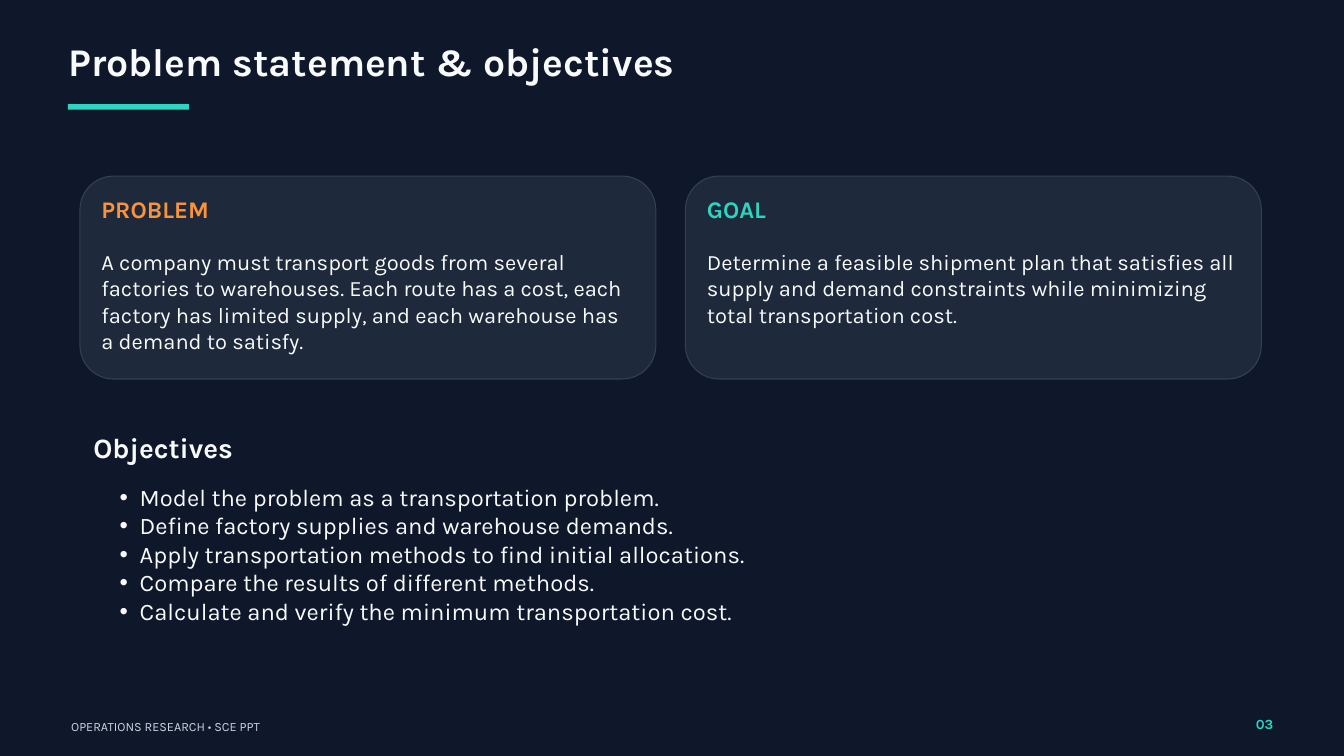
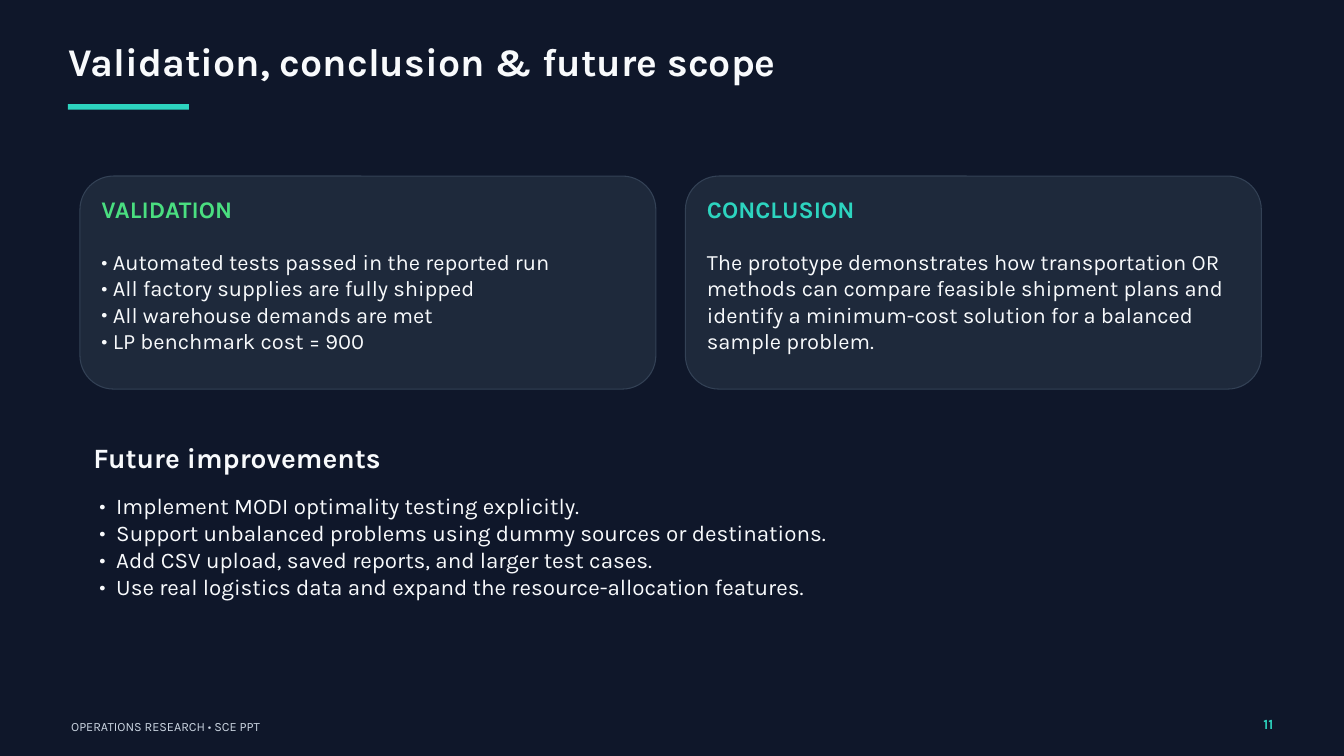
from lxml import etree
from pptx import Presentation
from pptx import util as u
from pptx.dml import color as dml
from pptx.enum import shapes, text
from pptx.oxml import ns

COLORS = {
    "background": "0F172A", "card": "1E293B", "border": "334155",
    "white": "F8FAFC", "muted": "CBD5E1",
    "teal": "2DD4BF", "orange": "FB923C", "green": "4ADE80",
}
RGB = {name: dml.RGBColor.from_string(value) for name, value in COLORS.items()}
FONT = "Karla"
LEADING = 1.2

FRAME_FORMAT = {
    "margin_left": 0, "margin_top": 0, "margin_right": 0, "margin_bottom": 0,
    "word_wrap": True, "auto_size": text.MSO_AUTO_SIZE.SHAPE_TO_FIT_TEXT,
}

CARD_LEFTS = (1.19, 10.2)
CARD_TOP, CARD_WIDTH, CARD_RADIUS = 2.62, 8.57, 0.5
CARD_PADDING = 0.32

# Bullets: left margin, hanging indent (inches) and typeface
CARD_BULLET = (0.17, 0.17, FONT)

PAGES = [
    {
        "number": "03",
        "title": "Problem statement & objectives",
        "card_height": 3.02,
        "cards": [
            ("PROBLEM", "orange", [
                "A company must transport goods from several factories to "
                "warehouses. Each route has a cost, each factory has limited "
                "supply, and each warehouse has a demand to satisfy."], None),
            ("GOAL", "teal", [
                "Determine a feasible shipment plan that satisfies all supply "
                "and demand constraints while minimizing total transportation "
                "cost."], None),
        ],
        "list_title": "Objectives",
        "list_size": 25.5,
        "list_bullet": (0.6, 0.3, "Arial"),
        "list": [
            "Model the problem as a transportation problem.",
            "Define factory supplies and warehouse demands.",
            "Apply transportation methods to find initial allocations.",
            "Compare the results of different methods.",
            "Calculate and verify the minimum transportation cost.",
        ],
    },
    {
        "number": "11",
        "title": "Validation, conclusion & future scope",
        "card_height": 3.17,
        "cards": [
            ("VALIDATION", "green", [
                "Automated tests passed in the reported run",
                "All factory supplies are fully shipped",
                "All warehouse demands are met",
                "LP benchmark cost = 900"], CARD_BULLET),
            ("CONCLUSION", "teal", [
                "The prototype demonstrates how transportation OR methods can "
                "compare feasible shipment plans and identify a minimum-cost "
                "solution for a balanced sample problem."], None),
        ],
        "list_title": "Future improvements",
        "list_size": 24,
        "list_bullet": (0.25, 0.25, FONT),
        "list": [
            "Implement MODI optimality testing explicitly.",
            "Support unbalanced problems using dummy sources or destinations.",
            "Add CSV upload, saved reports, and larger test cases.",
            "Use real logistics data and expand the resource-allocation features.",
        ],
    },
]


def add_text(page, area, lines, size, color="white", bold=False,
             align=text.PP_ALIGN.LEFT, bullet=None):
    box = page.shapes.add_textbox(*map(u.Inches, area))
    frame = box.text_frame
    for name, value in FRAME_FORMAT.items():
        setattr(frame, name, value)
    for index, line in enumerate(lines):
        para = frame.add_paragraph() if index else frame.paragraphs[0]
        if bullet:
            margin, hanging, typeface = bullet
            props = para._p.get_or_add_pPr()
            props.set("marL", str(u.Inches(margin)))
            props.set("indent", str(-u.Inches(hanging)))
            etree.SubElement(props, ns.qn("a:buFont"), typeface=typeface)
            etree.SubElement(props, ns.qn("a:buChar"), char="•")
        para.alignment = align
        para.line_spacing = u.Pt(size * LEADING)
        span = para.add_run()
        span.text = line
        for name, value in {"name": FONT, "size": u.Pt(size), "bold": bold}.items():
            setattr(span.font, name, value)
        span.font.color.rgb = RGB[color]


def add_block(page, kind, area, fill, line=None):
    block = page.shapes.add_shape(kind, *map(u.Inches, area))
    block.shadow.inherit = False
    block.fill.solid()
    block.fill.fore_color.rgb = RGB[fill]
    if line:
        block.line.color.rgb = RGB[line]
        block.line.width = u.Pt(1.13)
    else:
        block.line.fill.background()
    return block


deck = Presentation()
deck.slide_width, deck.slide_height = u.Inches(20), u.Inches(11.25)

for content in PAGES:
    page = deck.slides.add_slide(deck.slide_layouts[6])
    page.background.fill.solid()
    page.background.fill.fore_color.rgb = RGB["background"]

    # Title and accent bar
    add_text(page, (1.02, 0.55, 17.93, 0.79), [content["title"]], 42, bold=True)
    add_block(page, shapes.MSO_SHAPE.RECTANGLE, (1.01, 1.55, 1.8, 0.08), "teal")

    # Two cards
    height = content["card_height"]
    for left, (heading, color, lines, bullet) in zip(CARD_LEFTS, content["cards"]):
        card = add_block(page, shapes.MSO_SHAPE.ROUNDED_RECTANGLE,
                         (left, CARD_TOP, CARD_WIDTH, height), "card", "border")
        card.adjustments[0] = CARD_RADIUS / height
        inner, width = left + CARD_PADDING, CARD_WIDTH - 2 * CARD_PADDING
        add_text(page, (inner, 2.89, width, 0.59), [heading], 25.5, color, True)
        add_text(page, (inner, 3.7, width, 1.54), lines, 23.5, bullet=bullet)

    # List below the cards
    bottom = CARD_TOP + height
    add_text(page, (1.39, bottom + 0.76, 5.17, 0.56), [content["list_title"]],
             30, bold=True)
    add_text(page, (1.48, bottom + 1.54, 17.46, 2.5), content["list"],
             content["list_size"], bullet=content["list_bullet"])

    # Footer and page number
    add_text(page, (1.06, 10.7, 12.68, 0.23), ["OPERATIONS RESEARCH • SCE PPT"],
             13.5, "muted")
    add_text(page, (18.28, 10.65, 0.67, 0.34), [content["number"]], 15, "teal",
             True, text.PP_ALIGN.RIGHT)

deck.save("out.pptx")
